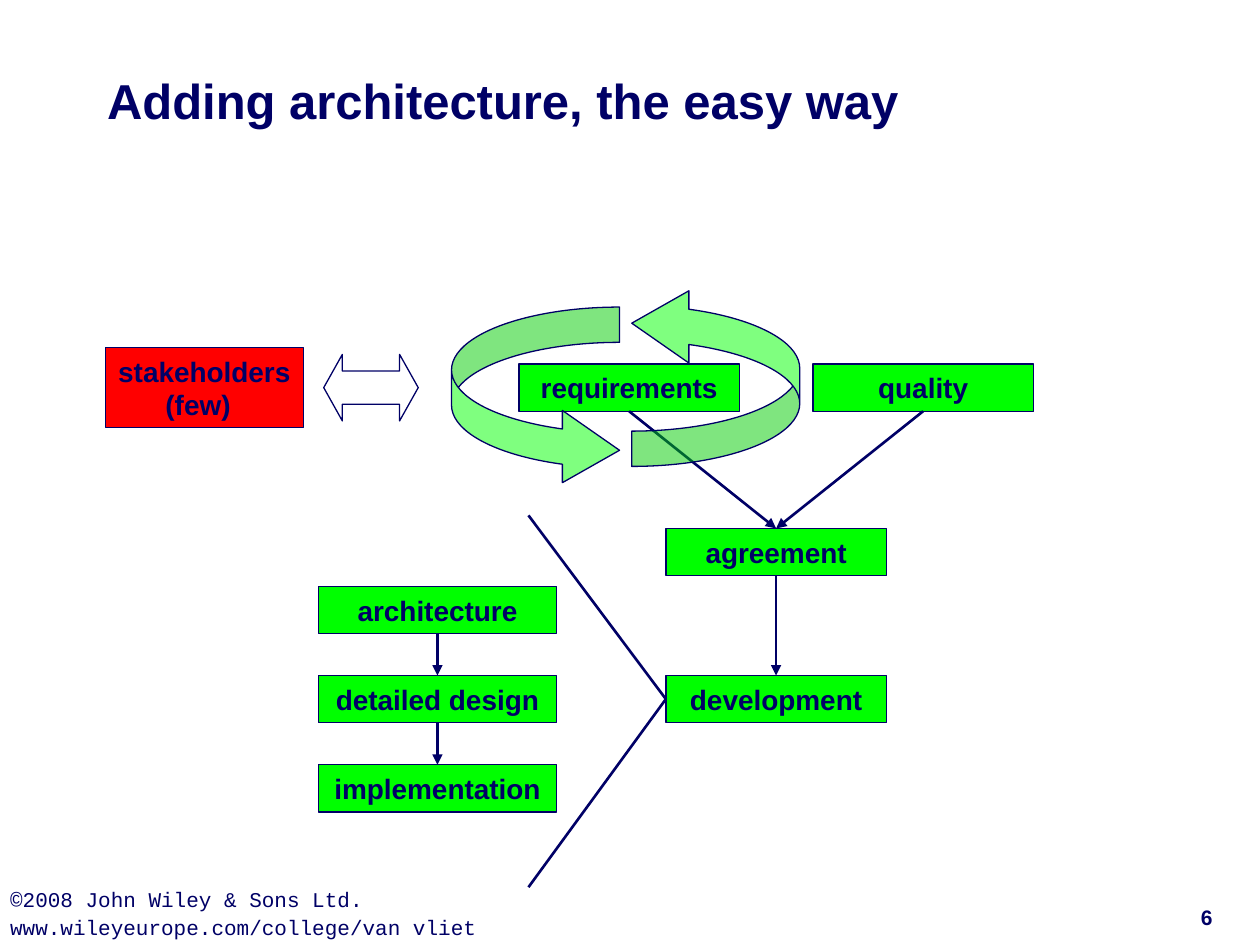
from lxml import etree
from pptx import Presentation
from pptx import util as u
from pptx.dml.color import RGBColor
from pptx.enum import shapes, text
from pptx.oxml.ns import qn

Pt = u.Pt
NAVY, GREEN, RED = "000066", "00FF00", "FF0000"
KIND = shapes.MSO_SHAPE
ALIGN = text.PP_ALIGN
MID = text.MSO_ANCHOR.MIDDLE


def tint(form, code):
    """Give a fill, line or font colour format the hex colour."""
    form.rgb = RGBColor.from_string(code)


def write(frame, lines, size, font="Arial", bold=True, align=ALIGN.CENTER,
          anchor=MID, inset=(7.2, 3.6), wrap=True):
    """Fill a text frame with one paragraph per line and return them."""
    frame.word_wrap = wrap
    frame.vertical_anchor = anchor
    frame.margin_left = frame.margin_right = Pt(inset[0])
    frame.margin_top = frame.margin_bottom = Pt(inset[1])
    for i, line in enumerate(lines):
        para = frame.add_paragraph() if i else frame.paragraphs[0]
        para.alignment = align
        run = para.add_run()
        run.text = line
        run.font.name, run.font.size, run.font.bold = font, Pt(size), bold
        tint(run.font.color, NAVY)
    return frame.paragraphs


def form(slide, kind, area, fill=None):
    """Add a thinly outlined preset shape."""
    shape = slide.shapes.add_shape(kind, *map(Pt, area))
    shape.shadow.inherit = False
    tint(shape.line.color, NAVY)
    shape.line.width = Pt(0.75)
    if fill:
        shape.fill.solid()
        tint(shape.fill.fore_color, fill)
    else:
        shape.fill.background()
    return shape


def box(slide, label, x, y, wide):
    """Add a green labelled step."""
    shape = form(slide, KIND.RECTANGLE, (x, y, wide, 27), GREEN)
    write(shape.text_frame, [label], 16)
    return shape


def line(slide, start, end):
    """Add a navy straight line between two points."""
    link = slide.shapes.add_connector(
        shapes.MSO_CONNECTOR.STRAIGHT, *map(Pt, start + end))
    tint(link.line.color, NAVY)
    link.line.width = Pt(1.5)
    etree.SubElement(link._element.spPr, qn("a:effectLst"))
    return link


def arrow(slide, top, low):
    """Join the bottom of one box to the top of another."""
    link = line(slide, (0, 0), (0, 0))
    link.begin_connect(top, 2)
    link.end_connect(low, 0)
    etree.SubElement(link.line._get_or_add_ln(), qn("a:tailEnd"), type="triangle")


def curve(slide, x, y, turn):
    """Add a half-clear curved arrow."""
    shape = form(slide, KIND.CURVED_RIGHT_ARROW, (x, y, 96, 102.5), GREEN)
    shape.rotation = turn
    for i, value in enumerate((0.21, 0.43, 0.34)):
        shape.adjustments[i] = value
    hue = shape._element.spPr.find(qn("a:solidFill"))[0]
    etree.SubElement(hue, qn("a:alpha"), val="50000")


def note(slide, area, lines, **style):
    """Add a small text box."""
    frame = slide.shapes.add_textbox(*map(Pt, area)).text_frame
    return write(frame, lines, 12, **style)


def main():
    """Build the slide."""
    deck = Presentation()
    deck.slide_width, deck.slide_height = Pt(720), Pt(540)
    slide = deck.slides.add_slide(deck.slide_layouts[5])

    title = slide.shapes.title
    title.left, title.top, title.width, title.height = map(Pt, (54, 12, 612, 90))
    write(title.text_frame, ["Adding architecture, the easy way"], 28, align=ALIGN.LEFT)

    foot = note(slide, (0, 499.5, 442, 40.5),
                ["©2008 John Wiley & Sons Ltd.", "www.wileyeurope.com/college/van vliet"],
                font="Courier New", bold=False, align=ALIGN.LEFT,
                anchor=text.MSO_ANCHOR.TOP, inset=(5.76, 5.76))
    for para in foot:
        para.line_spacing = 1.1
    note(slide, (661, 514, 57, 17.3), ["6"], anchor=text.MSO_ANCHOR.BOTTOM, inset=(0, 0))

    names = ("architecture", "detailed design", "implementation")
    steps = [box(slide, name, 182, 335 + 51 * i, 136) for i, name in enumerate(names)]
    for top, low in zip(steps, steps[1:]):
        arrow(slide, top, low)

    need = box(slide, "requirements", 296.5, 208, 126)
    agree = box(slide, "agreement", 380.5, 302, 126)
    qual = box(slide, "quality", 464.5, 208, 126)
    dev = box(slide, "development", 380.5, 386, 126)
    for y in (507, 294.5):
        line(slide, (302, y), (380.5, 399.5)).end_connect(dev, 1)
    for top, low in ((need, agree), (qual, agree), (agree, dev)):
        arrow(slide, top, low)

    curve(slide, 258, 175.5, 0)
    curve(slide, 361, 164, 180)

    few = form(slide, KIND.RECTANGLE, (60.5, 198.5, 113, 46), RED)
    paras = write(few.text_frame, ["stakeholders", "(few)"], 16,
                  align=ALIGN.LEFT, wrap=False)
    paras[1]._p.get_or_add_pPr().set("marL", str(Pt(27)))
    both = form(slide, KIND.LEFT_RIGHT_ARROW, (185, 202.5, 54, 38))
    both.adjustments[0], both.adjustments[1] = 0.5, 0.28

    deck.save("out.pptx")


if __name__ == "__main__":
    main()
